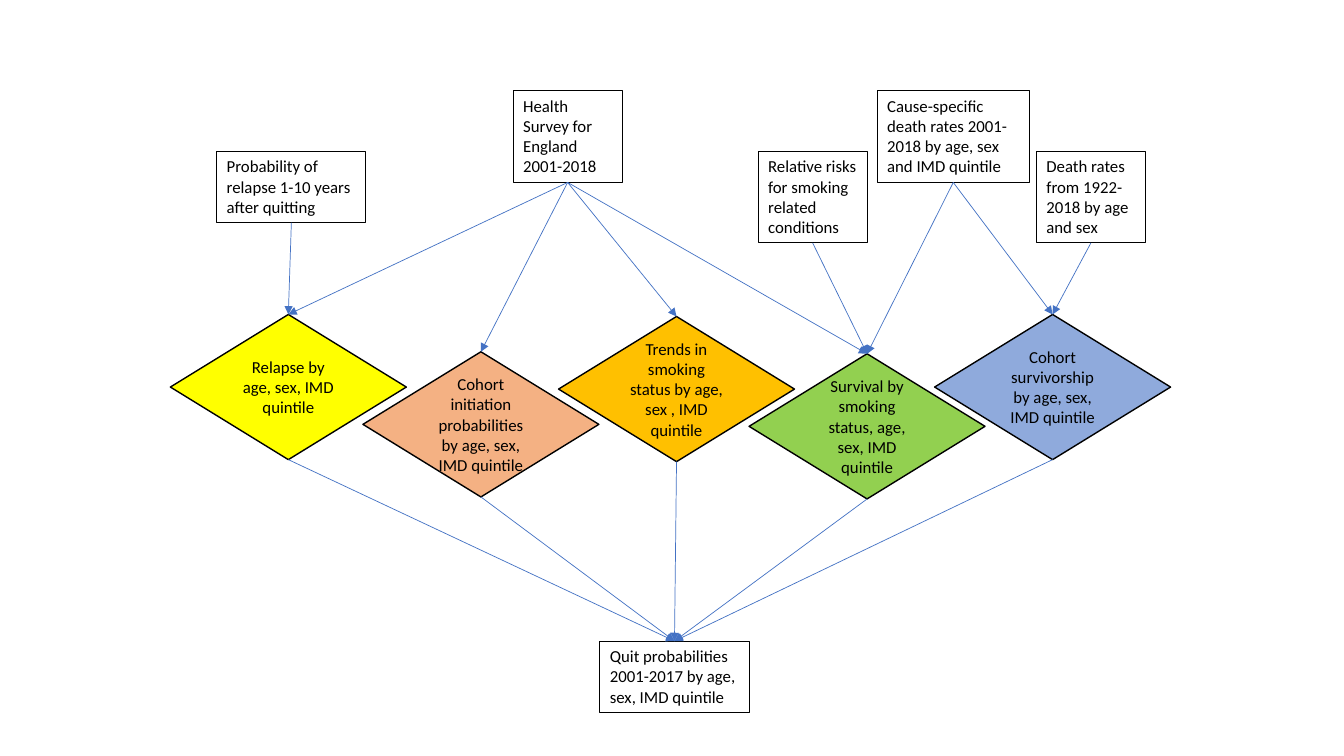
from lxml.etree import SubElement
from pptx import Presentation
from pptx.dml.color import RGBColor
from pptx.enum.shapes import MSO_CONNECTOR as Connector, MSO_SHAPE as Shape
from pptx.enum.text import MSO_ANCHOR as Anchor, MSO_AUTO_SIZE as AutoSize, PP_ALIGN as Align
from pptx.oxml.ns import qn
from pptx.util import Pt

PX = 9144
SLIDE_SIZE = (1333, 750)
SOURCES_BOX = (215, 90, 921, 151)
MODELS_BOX = (169, 312, 992, 183)
RESULT_BOX = (595, 636, 148, 71)
DIAMOND_SIZE = (234, 144)
TOP_SITE, BOTTOM_SITE = 0, 2

BLACK = RGBColor(0x00, 0x00, 0x00)
BLUE = RGBColor(0x44, 0x72, 0xC4)
YELLOW = RGBColor(0xFF, 0xFF, 0x00)
PEACH = RGBColor(0xF4, 0xB1, 0x83)
AMBER = RGBColor(0xFF, 0xC0, 0x00)
GREEN = RGBColor(0x92, 0xD0, 0x50)
PERIWINKLE = RGBColor(0x8F, 0xAA, 0xDC)

FONT_FORMAT = {"name": "Calibri", "size": Pt(12)}
BOX_FORMAT = {"word_wrap": True, "vertical_anchor": Anchor.TOP,
              "auto_size": AutoSize.SHAPE_TO_FIT_TEXT}
DIAMOND_FORMAT = {"word_wrap": True, "vertical_anchor": Anchor.MIDDLE}

SOURCES = {
    "relapse risk": (0, 60, 148, 71, "Probability of relapse 1-10 years after quitting"),
    "survey": (294, 0, 108, 91, "Health Survey for England 2001-2018"),
    "relative risks": (537, 60, 108, 91, "Relative risks for smoking related conditions"),
    "cause deaths": (655, 0, 151, 91,
                     "Cause-specific death rates 2001-2018 by age, sex and IMD quintile"),
    "all deaths": (813, 60, 108, 91, "Death rates from 1922-2018 by age and sex"),
}
MODELS = {
    "relapse": (0, 0, YELLOW, "Relapse by age, sex, IMD quintile"),
    "initiation": (191, 37, PEACH, "Cohort initiation probabilities by age, sex, IMD quintile"),
    "trends": (385, 2, AMBER, "Trends in smoking status by age, sex , IMD quintile"),
    "survival": (574, 39, GREEN, "Survival by smoking status, age, sex, IMD quintile"),
    "survivorship": (758, 0, PERIWINKLE, "Cohort survivorship by age, sex, IMD quintile"),
}
INPUTS = {
    "relapse risk": ["relapse"],
    "survey": ["relapse", "initiation", "trends", "survival"],
    "relative risks": ["survival"],
    "cause deaths": ["survival", "survivorship"],
    "all deaths": ["survivorship"],
}


def set_format(target, values):
    """Set each named attribute on the target."""
    for name, value in values.items():
        setattr(target, name, value)


def add_node(slide, kind, box, text, line_width, frame_format, alignment):
    """Add an unfilled, black-outlined shape with its text."""
    shape = slide.shapes.add_shape(kind, *(length * PX for length in box))
    shape.shadow.inherit = False
    shape.fill.background()
    shape.line.color.rgb = BLACK
    shape.line.width = Pt(line_width)
    set_format(shape.text_frame, frame_format)
    paragraph = shape.text_frame.paragraphs[0]
    paragraph.alignment = alignment
    run = paragraph.add_run()
    run.text = text
    set_format(run.font, FONT_FORMAT)
    run.font.color.rgb = BLACK
    return shape


def add_text_box(slide, box, text):
    """Add a rectangle with left-aligned text."""
    return add_node(slide, Shape.RECTANGLE, box, text, 0.75, BOX_FORMAT, Align.LEFT)


def add_sources(slide, box):
    """Place the data sources and return them by name."""
    left, top = box[:2]
    return {name: add_text_box(slide, (left + x, top + y, width, height), text)
            for name, (x, y, width, height, text) in SOURCES.items()}


def add_models(slide, box):
    """Place the model diamonds and return them by name."""
    left, top = box[:2]
    diamonds = {}
    for name, (x, y, color, text) in MODELS.items():
        diamond = add_node(slide, Shape.DIAMOND, (left + x, top + y, *DIAMOND_SIZE),
                           text, 1, DIAMOND_FORMAT, Align.CENTER)
        diamond.fill.solid()
        diamond.fill.fore_color.rgb = color
        diamonds[name] = diamond
    return diamonds


def add_result(slide, box):
    """Place the resulting quit probabilities."""
    return add_text_box(slide, box, "Quit probabilities 2001-2017 by age, sex, IMD quintile")


def add_arrow(slide, start, end):
    """Connect the bottom of one shape to the top of another."""
    arrow = slide.shapes.add_connector(Connector.STRAIGHT, 0, 0, 0, 0)
    arrow.begin_connect(start, BOTTOM_SITE)
    arrow.end_connect(end, TOP_SITE)
    arrow.line.color.rgb = BLUE
    arrow.line.width = Pt(0.5)
    SubElement(arrow.line._get_or_add_ln(), qn("a:tailEnd"), type="triangle")
    SubElement(arrow._element.spPr, qn("a:effectLst"))


def main():
    """Build and save the model diagram."""
    presentation = Presentation()
    width, height = SLIDE_SIZE
    set_format(presentation, {"slide_width": width * PX, "slide_height": height * PX})
    slide = presentation.slides.add_slide(presentation.slide_layouts[6])
    sources = add_sources(slide, SOURCES_BOX)
    models = add_models(slide, MODELS_BOX)
    result = add_result(slide, RESULT_BOX)
    for source, targets in INPUTS.items():
        for target in targets:
            add_arrow(slide, sources[source], models[target])
    for model in models.values():
        add_arrow(slide, model, result)
    presentation.save("out.pptx")


if __name__ == "__main__":
    main()
